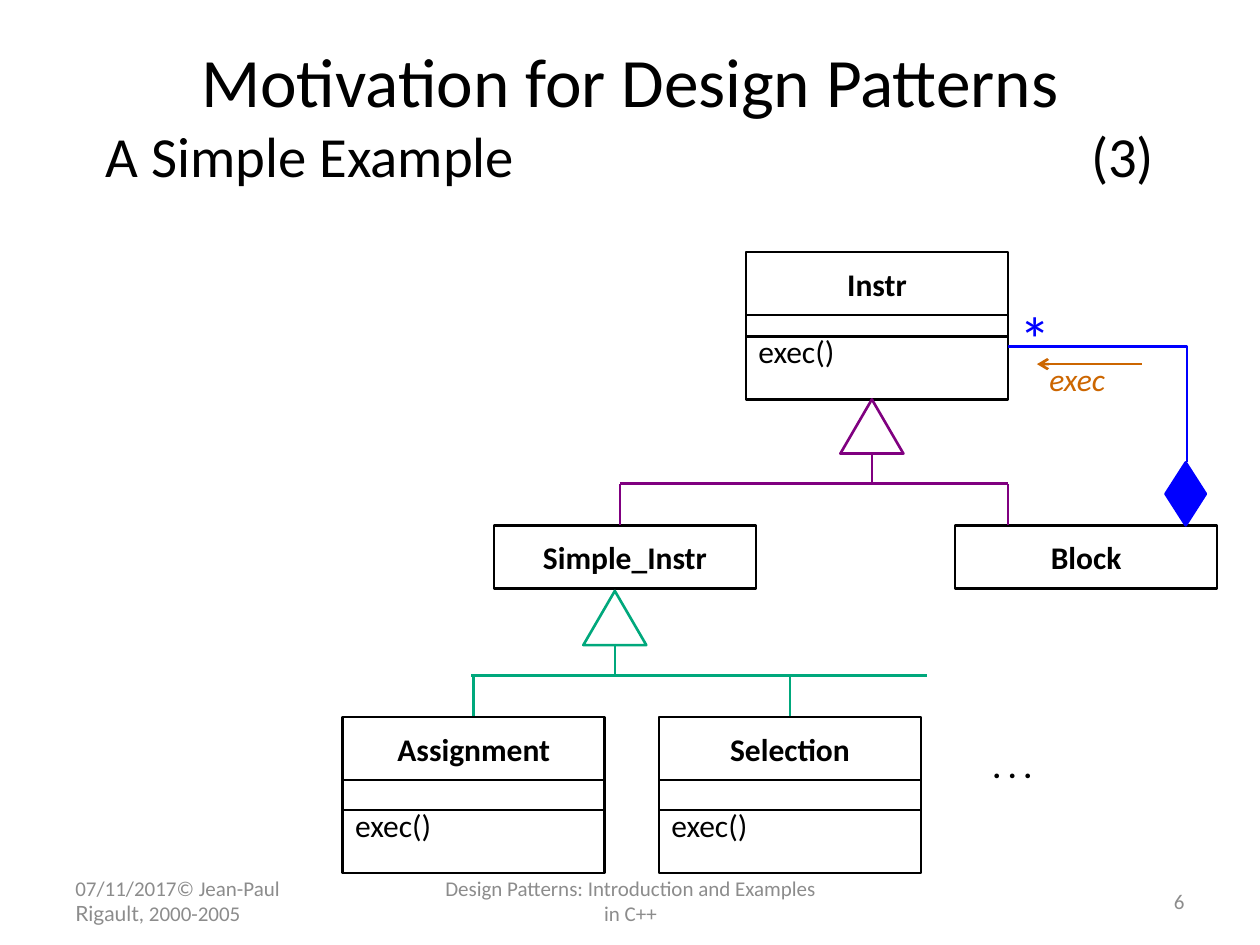
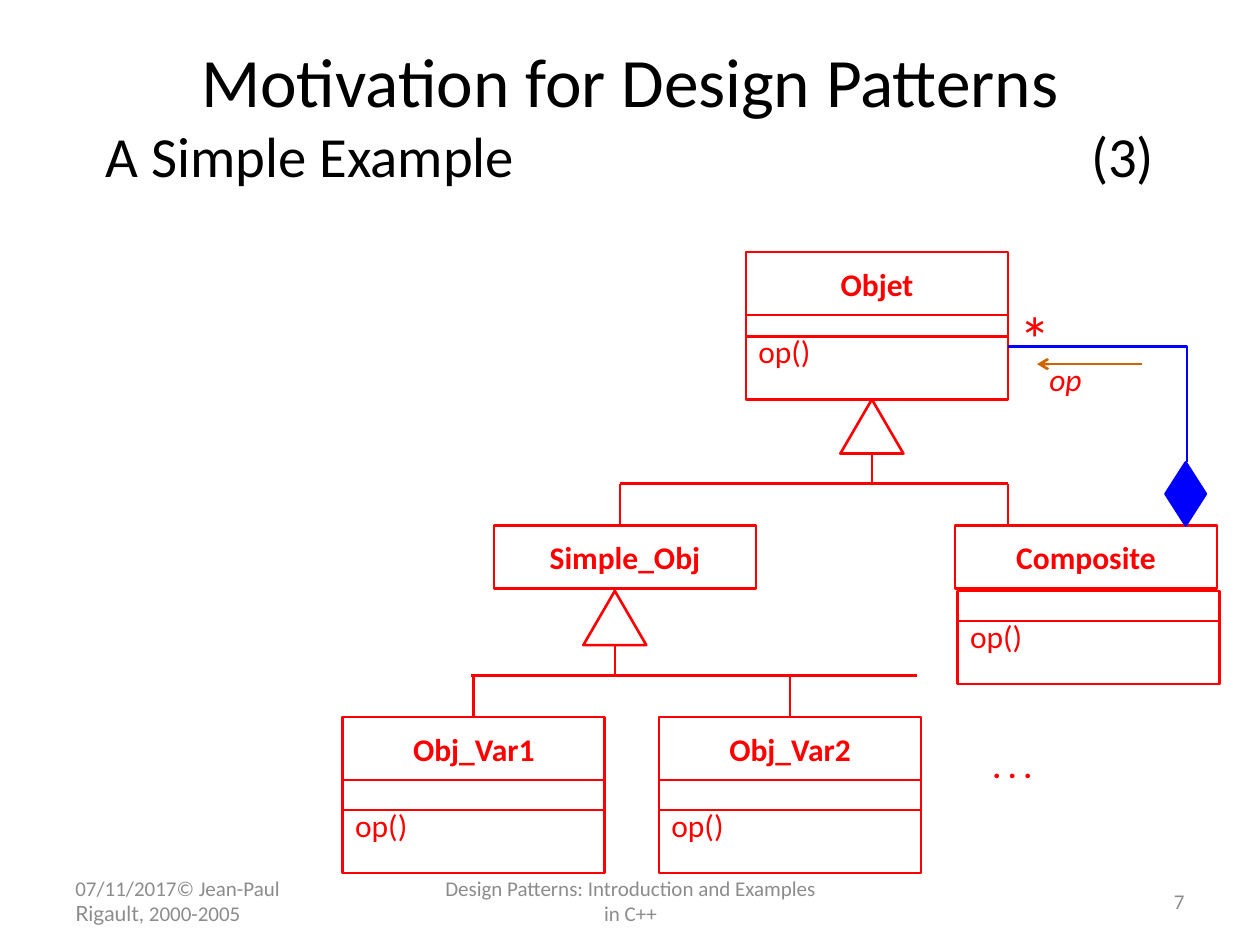
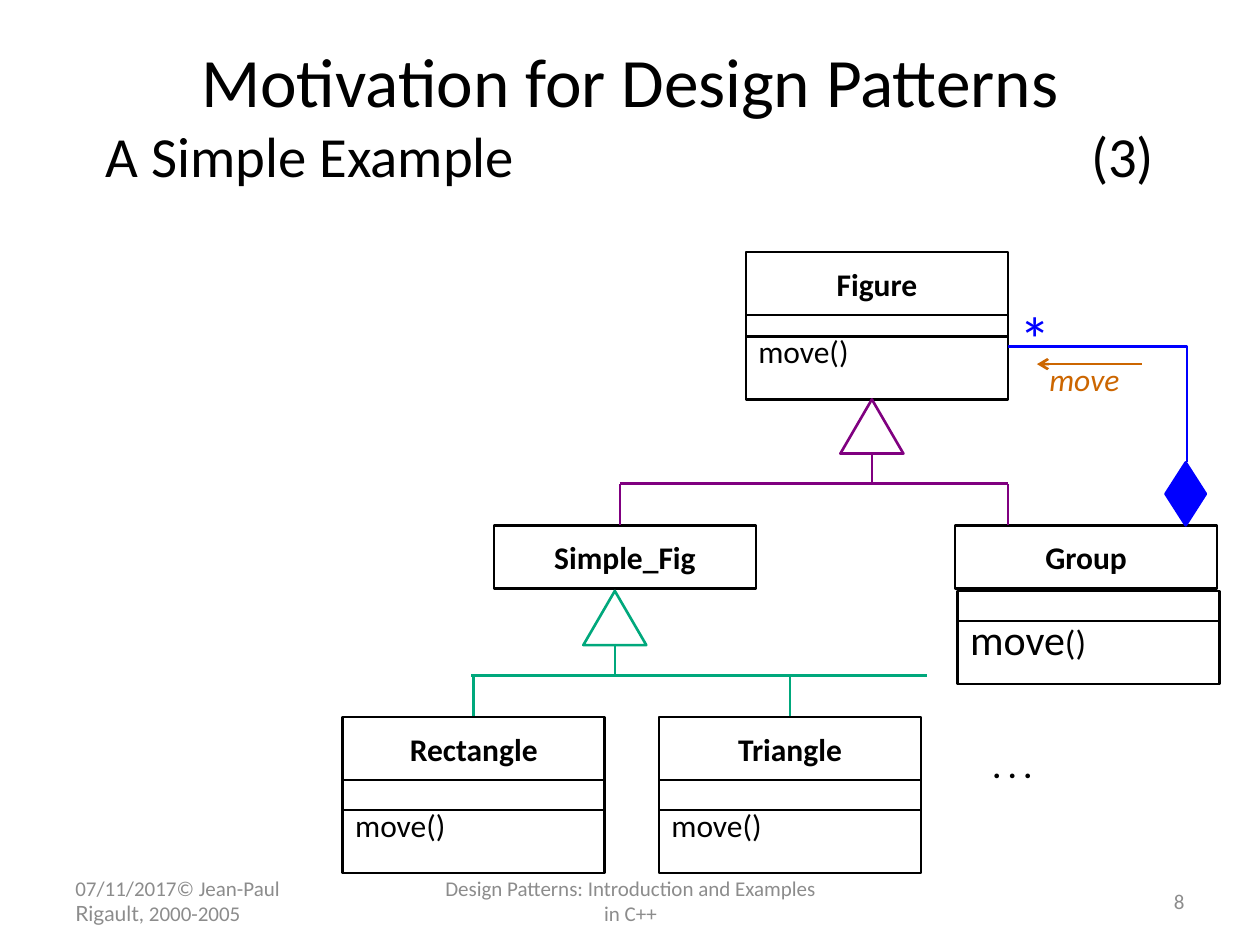
from pptx import Presentation
from pptx.dml.color import RGBColor
from pptx.enum.shapes import MSO_CONNECTOR, MSO_SHAPE
from pptx.enum.text import MSO_ANCHOR, PP_ALIGN
from pptx.oxml.ns import qn
from pptx.util import Inches, Pt
from lxml.etree import SubElement

BLACK, RED, BLUE = "000000", "FF0000", "0000FF"
PURPLE, GREEN, ORANGE, GREY = "800080", "00A87C", "CC6600", "8C8C8C"
WIDTH, HEAD, BODY = 2.08, 0.5, 0.5
LINE = 1.5
LEFT, CENTER, RIGHT = PP_ALIGN.LEFT, PP_ALIGN.CENTER, PP_ALIGN.RIGHT
TOP, MIDDLE, BOTTOM = MSO_ANCHOR.TOP, MSO_ANCHOR.MIDDLE, MSO_ANCHOR.BOTTOM


def color(value):
    return RGBColor.from_string(value)


def write(shape, runs, size=18, ink=BLACK, bold=False, italic=False,
          align=LEFT, anchor=TOP, wrap=False, spacing=None, tab=None):
    """Fill a shape with a string or with (text, size, font) runs."""
    frame = shape.text_frame
    frame.word_wrap, frame.vertical_anchor = wrap, anchor
    para = frame.paragraphs[0]
    para.alignment = align
    if spacing:
        para.line_spacing = spacing
    if tab:
        tabs = SubElement(para._p.get_or_add_pPr(), qn("a:tabLst"))
        SubElement(tabs, qn("a:tab"), pos=str(Inches(tab)), algn="r")
    if isinstance(runs, str):
        runs = [(runs, size, "Calibri")]
    for text, points, face in runs:
        if text == "\n":
            para.add_line_break()
            continue
        run = para.add_run()
        run.text = text
        font = run.font
        font.size, font.name = Pt(points), face
        font.bold, font.italic = bold, italic
        font.color.rgb = color(ink)


def label(slide, x, y, w, h, runs, **style):
    box = slide.shapes.add_textbox(Inches(x), Inches(y), Inches(w), Inches(h))
    write(box, runs, **style)


def outline(shape, ink, fill=None):
    shape.shadow.inherit = False
    shape.line.color.rgb = color(ink)
    shape.line.width = Pt(LINE)
    if fill:
        shape.fill.solid()
        shape.fill.fore_color.rgb = color(fill)
    else:
        shape.fill.background()


def draw(slide, kind, x, y, w, h, ink, fill=None):
    shape = slide.shapes.add_shape(
        kind, Inches(x), Inches(y), Inches(w), Inches(h))
    outline(shape, ink, fill)
    return shape


def line(slide, x1, y1, x2, y2, ink, arrow=False):
    link = slide.shapes.add_connector(
        MSO_CONNECTOR.STRAIGHT, Inches(x1), Inches(y1), Inches(x2), Inches(y2))
    link.line.color.rgb = color(ink)
    link.line.width = Pt(LINE)
    if arrow:
        SubElement(link.line._get_or_add_ln(), qn("a:tailEnd"), type="arrow")
    SubElement(link._element.spPr, qn("a:effectLst"))


def name_box(slide, x, y, name, ink):
    box = draw(slide, MSO_SHAPE.RECTANGLE, x, y, WIDTH, HEAD, ink)
    write(box, name, ink=ink, bold=True, align=CENTER, anchor=MIDDLE)


def members(slide, x, y, method, ink, gap=0.24):
    """Draw an empty attribute row and the method row below it."""
    draw(slide, MSO_SHAPE.RECTANGLE, x, y, WIDTH, gap, ink)
    box = draw(slide, MSO_SHAPE.RECTANGLE, x, y + gap, WIDTH, BODY, ink)
    write(box, method, ink=ink, spacing=0.7)


def full_class(slide, x, y, name, method, ink, gap=0.24):
    name_box(slide, x, y, name, ink)
    members(slide, x, y + HEAD, method, ink, gap)


def inherit(slide, x, y, start, end, stems, drop, ink):
    """Draw the triangle with its tip at x, y, the bar and its stems."""
    bar = y + 0.67
    draw(slide, MSO_SHAPE.ISOSCELES_TRIANGLE, x - 0.25, y, 0.5, 0.43, ink)
    line(slide, x, y + 0.42, x, bar, ink)
    line(slide, start, bar, end, bar, ink)
    for stem in stems:
        line(slide, stem, bar, stem, bar + drop, ink)


def compose(slide, call, star_ink, call_ink):
    """Draw the link from the composite back to the base class."""
    diamond = draw(slide, MSO_SHAPE.DIAMOND, 9.16, 3.76, 0.5, 0.32, BLUE, BLUE)
    diamond.rotation = 90
    path = slide.shapes.build_freeform(Inches(9.42), Inches(3.67))
    path.add_line_segments(
        [(Inches(9.42), Inches(2.75)), (Inches(8), Inches(2.75))], close=False)
    outline(path.convert_to_shape(), BLUE)
    label(slide, 7.99, 2.33, 0.4, 0.71, "*", size=36, ink=star_ink)
    line(slide, 9.06, 2.89, 8.23, 2.89, ORANGE, arrow=True)
    width = {"exec": 0.79, "op": 0.54, "move": 0.87}[call]
    label(slide, 8.23, 2.81, width, 0.41, call, ink=call_ink, italic=True)


def frame(slide, number):
    """Add the title and the footers."""
    small = dict(size=12, ink=GREY, anchor=MIDDLE, wrap=True)
    label(slide, 0.5, 6.95, 2.33, 0.4,
          [("07/11/2017© Jean-Paul ", 12, "Calibri"), ("Rigault", 12, "Lato"),
           (", 2000-2005", 12, "Calibri")], **small)
    label(slide, 7.17, 6.95, 2.33, 0.4, str(number), align=RIGHT, **small)
    label(slide, 3.42, 6.95, 3.17, 0.4,
          "Design Patterns: Introduction and Examples in C++",
          align=CENTER, **small)
    label(slide, 0.5, 0.3, 9, 1.25,
          [("Motivation for Design Patterns", 39.6, "Calibri"),
           ("\n", 0, ""), ("A Simple Example \t(3)", 32.4, "Calibri")],
          align=CENTER, anchor=BOTTOM, wrap=True, tab=8.32)


def diagram(slide, names, call, ink=BLACK, upper=PURPLE, lower=GREEN,
            star=BLUE, note=ORANGE, bar_end=7.36, group=None):
    base, simple, whole, first, second = names
    method = call + "()"
    full_class(slide, 5.92, 2, base, method, ink, gap=0.17)
    name_box(slide, 3.92, 4.17, simple, ink)
    name_box(slide, 7.58, 4.17, whole, ink)
    inherit(slide, 6.92, 3.17, 4.92, 8, (4.92, 8), 0.33, upper)
    inherit(slide, 4.88, 4.69, 3.74, bar_end, (3.76, 6.27), 0.33, lower)
    compose(slide, call, star, note)
    for x, name in ((2.72, first), (5.23, second)):
        full_class(slide, x, 5.69, name, method, ink)
    label(slide, 7.78, 5.88, 0.55, 0.41, ". . .", ink=ink, bold=True)
    if group:
        members(slide, 7.6, 4.69, group, ink)


def main():
    deck = Presentation()
    deck.slide_width, deck.slide_height = Inches(10), Inches(7.5)
    pages = [
        dict(names=("Instr", "Simple_Instr", "Block", "Assignment",
                    "Selection"), call="exec"),
        dict(names=("Objet", "Simple_Obj", "Composite", "Obj_Var1",
                    "Obj_Var2"), call="op", ink=RED, upper=RED, lower=RED,
             star=RED, note=RED, bar_end=7.28, group="op()"),
        dict(names=("Figure", "Simple_Fig", "Group", "Rectangle",
                    "Triangle"), call="move",
             group=[("move", 24, "Calibri"), ("()", 20, "Calibri")]),
    ]
    for number, page in enumerate(pages, 6):
        slide = deck.slides.add_slide(deck.slide_layouts[6])
        frame(slide, number)
        diagram(slide, **page)
    deck.save("out.pptx")


if __name__ == "__main__":
    main()
